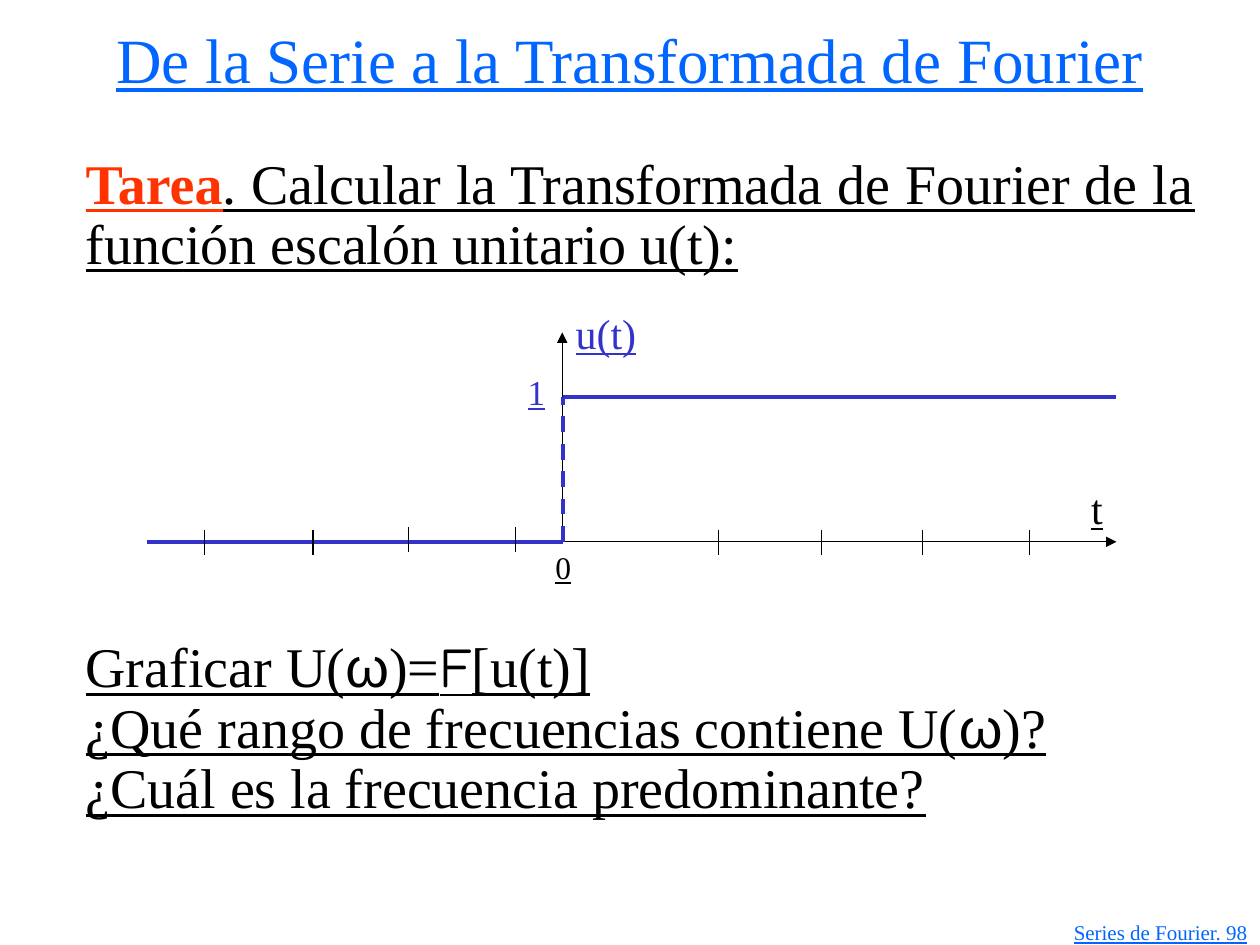
import pptx
import pptx.dml.color
import pptx.enum.dml
import pptx.enum.shapes
import pptx.enum.text
import pptx.oxml
import pptx.oxml.ns
import pptx.util

Pt = pptx.util.Pt
ALIGN = pptx.enum.text.PP_ALIGN
ANCHOR = pptx.enum.text.MSO_ANCHOR
BLACK, BLUE, INDIGO, RED = "000000", "0066FF", "3333CC", "FF3300"
SERIF = "Times New Roman"
LINE_PITCH = 34.56
GRAPH_GAP = 6 * LINE_PITCH


def rgb(code):
    return pptx.dml.color.RGBColor.from_string(code)


def add_text(shapes, box, paragraphs, size, color, wrap=True,
             anchor=ANCHOR.TOP, **para_format):
    """Each paragraph is (space before, spans); a span is (text, font overrides)."""
    frame = shapes.add_textbox(*map(Pt, box)).text_frame
    frame.word_wrap = wrap
    frame.vertical_anchor = anchor
    for index, (space_before, spans) in enumerate(paragraphs):
        para = frame.paragraphs[0] if index == 0 else frame.add_paragraph()
        for name, value in {"space_before": Pt(space_before), **para_format}.items():
            setattr(para, name, value)
        for text, overrides in spans:
            span = para.add_run()
            span.text = text
            font_format = {"name": SERIF, "size": Pt(size), "underline": True, **overrides}
            span.font.color.rgb = rgb(font_format.pop("color", color))
            for name, value in font_format.items():
                setattr(span.font, name, value)


def add_line(shapes, start, end, color=BLACK, width=0.75, arrow=False, dash=None):
    line = shapes.add_connector(pptx.enum.shapes.MSO_CONNECTOR.STRAIGHT,
                                *map(Pt, (*start, *end)))
    line.line.color.rgb = rgb(color)
    line.line.width = Pt(width)
    if dash:
        line.line.dash_style = dash
    if arrow:
        head = pptx.oxml.parse_xml(
            f'<a:tailEnd {pptx.oxml.ns.nsdecls("a")} type="triangle"/>')
        line.line._get_or_add_ln().append(head)
    line._element.spPr.append(
        pptx.oxml.parse_xml(f'<a:effectLst {pptx.oxml.ns.nsdecls("a")}/>'))


def add_title(page, box):
    add_text(page.shapes, box, [(0, [("De la Serie a la Transformada de Fourier", {})])],
             36, BLUE, anchor=ANCHOR.MIDDLE, alignment=ALIGN.CENTER)


def add_task(page, box):
    omega = ("ω", {"name": "Arial"})
    paragraphs = [
        (0, [("Tarea", {"bold": True, "color": RED}),
             (". Calcular la Transformada de Fourier de la función escalón unitario u(t):", {})]),
        (GRAPH_GAP, [("Graficar U(", {}), omega, (")=", {}),
                     ("F", {"name": "Comic Neue"}), ("[u(t)]", {})]),
        (0, [("¿Qué rango de frecuencias contiene U(", {}), omega, (")?", {})]),
        (0, [("¿Cuál es la frecuencia predominante?", {})]),
    ]
    add_text(page.shapes, box, paragraphs, 32, BLACK,
             alignment=ALIGN.JUSTIFY, line_spacing=Pt(LINE_PITCH))


def add_step_graph(page, box):
    left, top, width, height = box
    shapes = page.shapes.add_group_shape().shapes
    origin_x, axis_y, step_y, right = left + 237.6, top + 137.6, top + 54.8, left + width

    add_line(shapes, (origin_x - 0.5, axis_y), (origin_x - 0.5, top + 18), arrow=True)
    add_line(shapes, (left, axis_y), (right, axis_y), arrow=True)

    curve = {"color": INDIGO, "width": 2.25}
    corner, step = (origin_x, axis_y), (origin_x, step_y)
    add_line(shapes, step, (right, step_y), **curve)
    add_line(shapes, corner, step, dash=pptx.enum.dml.MSO_LINE.DASH, **curve)
    add_line(shapes, (left, axis_y), corner, **curve)

    ticks = [(32.6, 0), (94.6, 0), (149.3, 2), (210.5, 2),
             (326.4, 0), (385.4, 0), (443, 0), (504.2, 0)]
    for offset, lift in ticks:
        x, y = left + offset, axis_y - 6.5 - lift
        add_line(shapes, (x, y), (x, y + 14.2))

    labels = [
        ("u(t)", (origin_x, top, 49, 36), 24, INDIGO, False, 0),
        ("0", (origin_x - 11.5, axis_y, 31.7, 28.8), 18, BLACK, True, 11.2),
        ("1", (origin_x - 27.3, top + 36, 24.5, 31.7), 20, INDIGO, False, 0),
        ("t", (right - 21.6, top + 100, 20.9, 36), 24, BLACK, False, 0),
    ]
    for text, place, size, color, wrap, space_before in labels:
        add_text(shapes, place, [(space_before, [(text, {})])], size, color, wrap)


def add_footer(page, box):
    add_text(page.shapes, box, [(0, [("Series de Fourier. 98", {})])],
             12, BLUE, alignment=ALIGN.RIGHT)


def main():
    deck = pptx.Presentation()
    deck.slide_width, deck.slide_height = Pt(720), Pt(540)
    page = deck.slides.add_slide(deck.slide_layouts[6])
    add_footer(page, (563.8, 522, 156.2, 18))
    add_title(page, (54, 12.2, 612, 41.8))
    add_task(page, (41.8, 85, 648, 419.8))
    add_step_graph(page, (84.2, 172, 553.8, 166.4))
    deck.save("out.pptx")


if __name__ == "__main__":
    main()
